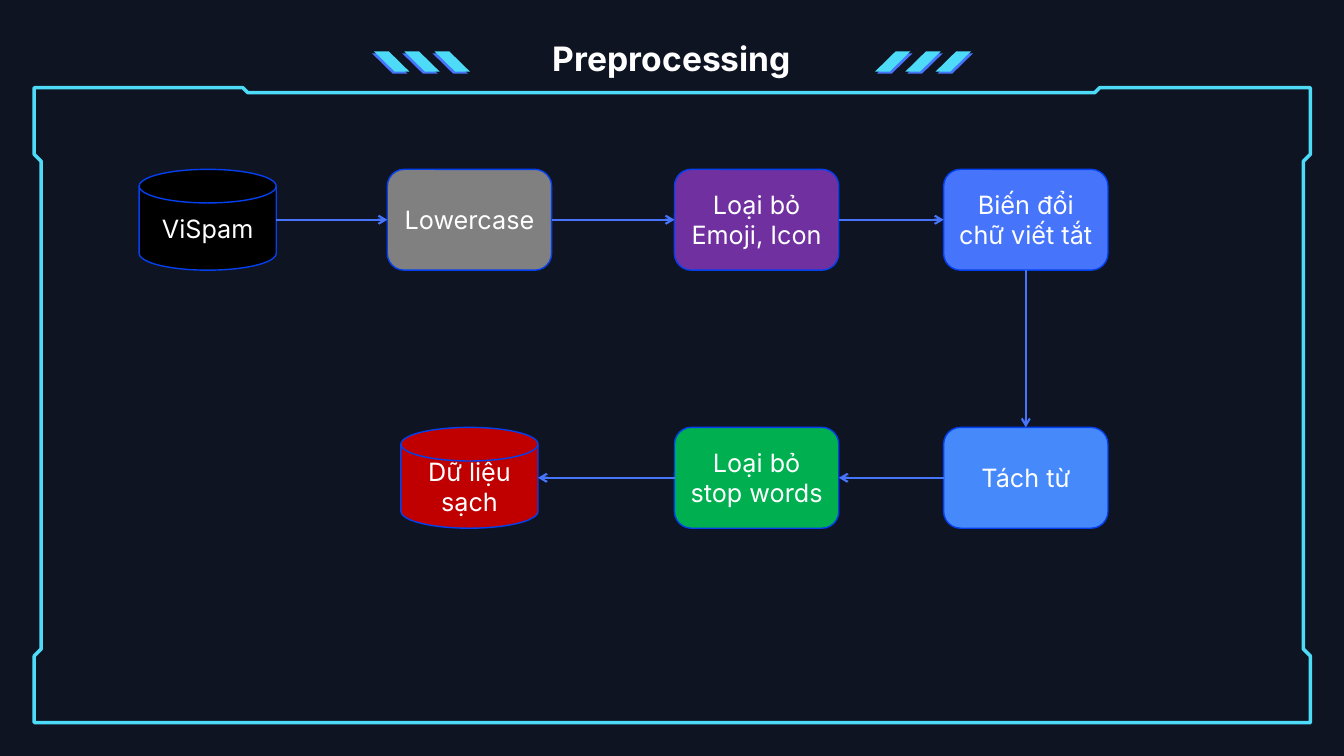
import dataclasses

import pptx
import pptx.dml.color
import pptx.enum.shapes
import pptx.enum.text
import pptx.oxml.ns
import pptx.util
from lxml import etree

SHAPE = pptx.enum.shapes.MSO_SHAPE
TOP, LEFT, BOTTOM, RIGHT = range(4)


@dataclasses.dataclass(frozen=True)
class Theme:
    font: str = "Inter"
    title_size: int = 24
    node_size: int = 18
    frame_line: float = 2.5
    arrow_line: float = 1.5
    node_line: float = 1
    night: str = "0F1423"
    white: str = "FFFFFF"
    cyan: str = "4DDBF8"
    blue: str = "4675FC"
    outline: str = "0440EE"


THEME = Theme()


@dataclasses.dataclass(frozen=True)
class Box:
    """An area in EMU; inner boxes are given in percent of its size."""
    left: float
    top: float
    width: float
    height: float

    def point(self, x, y):
        return (round(self.left + self.width * x / 100),
                round(self.top + self.height * y / 100))

    def inner(self, x, y, width, height):
        return Box(*self.point(x, y),
                   round(self.width * width / 100),
                   round(self.height * height / 100))

    def edges(self):
        return self.left, self.top, self.width, self.height


def rgb(code):
    return pptx.dml.color.RGBColor.from_string(code)


def set_line(line, color, width):
    line.color.rgb = rgb(color)
    line.width = pptx.util.Pt(width)


def add_filled(slide, kind, box, fill):
    shape = slide.shapes.add_shape(kind, *box.edges())
    shape.shadow.inherit = False
    shape.fill.solid()
    shape.fill.fore_color.rgb = rgb(fill)
    return shape


def write(shape, text, size, bold=False):
    frame = shape.text_frame
    frame.word_wrap = True
    paragraph = frame.paragraphs[0]
    paragraph.text = text
    paragraph.alignment = pptx.enum.text.PP_ALIGN.CENTER
    formats = {"name": THEME.font, "size": pptx.util.Pt(size), "bold": bold}
    for attribute, value in formats.items():
        setattr(paragraph.font, attribute, value)
    paragraph.font.color.rgb = rgb(THEME.white)


# Notched border around the content
def draw_frame(slide, box):
    corners = [
        (100, 100), (0, 100), (0, 89.5), (0.55, 88.4), (0.55, 11.6),
        (0, 10.5), (0, 0), (16.35, 0), (16.75, 0.8), (83.1, 0.8),
        (83.5, 0), (100, 0), (100, 10.5), (99.45, 11.6), (99.45, 88.4),
        (100, 89.5),
    ]
    start, *others = [box.point(*corner) for corner in corners]
    builder = slide.shapes.build_freeform(*start)
    builder.add_line_segments(others, close=True)
    border = builder.convert_to_shape()
    border.shadow.inherit = False
    border.fill.background()
    set_line(border.line, THEME.cyan, THEME.frame_line)


# Three two-tone stripes; the lit layer is shifted over the dark one
def draw_stripes(slide, box, leans_left):
    shift = 2.06
    dark_x, lit_x = (0, shift) if leans_left else (shift, 0)
    for color, x, y in ((THEME.blue, dark_x, 9.1), (THEME.cyan, lit_x, 0)):
        for number in range(3):
            area = box.inner(x + 30.93 * number, y, 36.08, 90.9)
            stripe = add_filled(slide, SHAPE.PARALLELOGRAM, area, color)
            stripe.adjustments[0] = 1.02
            stripe.line.fill.background()
            if leans_left:
                stripe._element.spPr.xfrm.set("flipV", "1")


# Heading between the two stripe groups
def draw_heading(slide, box):
    title = slide.shapes.add_textbox(*box.inner(6.21, 0, 87.42, 100).edges())
    write(title, "Preprocessing", THEME.title_size, bold=True)
    for x, leans_left in ((0, True), (83.72, False)):
        draw_stripes(slide, box.inner(x, 36, 16.28, 44), leans_left)


def draw_arrow(slide, source, source_side, target, target_side):
    def side_point(node, side):
        x = {LEFT: 0, RIGHT: 1}.get(side, 0.5)
        y = {TOP: 0, BOTTOM: 1}.get(side, 0.5)
        return (round(node.left + node.width * x),
                round(node.top + node.height * y))

    arrow = slide.shapes.add_connector(
        pptx.enum.shapes.MSO_CONNECTOR.STRAIGHT,
        *side_point(source, source_side), *side_point(target, target_side))
    # Cylinders number their sides differently, so only rectangles are joined
    if source.auto_shape_type == SHAPE.ROUNDED_RECTANGLE:
        arrow.begin_connect(source, source_side)
    if target.auto_shape_type == SHAPE.ROUNDED_RECTANGLE:
        arrow.end_connect(target, target_side)
    set_line(arrow.line, THEME.blue, THEME.arrow_line)
    qn = pptx.oxml.ns.qn
    outline = arrow._element.spPr.find(qn("a:ln"))
    etree.SubElement(outline, qn("a:tailEnd"), type="arrow")
    etree.SubElement(arrow._element.spPr, qn("a:effectLst"))


# Processing steps, to the right on the upper row and back on the lower one
def draw_pipeline(slide, box):
    columns = (7.08, 34.1, 63.74, 91.52)
    rows = (14.05, 85.95)
    height = 28.1
    disk = (SHAPE.FLOWCHART_MAGNETIC_DISK, 14.15)
    step = (SHAPE.ROUNDED_RECTANGLE, 16.96)
    steps = [
        ("ViSpam", disk, 0, 0, "000000"),
        ("Lowercase", step, 1, 0, "808080"),
        ("Loại bỏ Emoji, Icon", step, 2, 0, "7030A0"),
        ("Biến đổi chữ viết tắt", step, 3, 0, THEME.blue),
        ("Tách từ", step, 3, 1, "4589FB"),
        ("Loại bỏ stop words", step, 2, 1, "00B050"),
        ("Dữ liệu sạch", disk, 1, 1, "C00000"),
    ]
    nodes = []
    for text, (kind, width), column, row, fill in steps:
        area = box.inner(columns[column] - width / 2, rows[row] - height / 2,
                         width, height)
        node = add_filled(slide, kind, area, fill)
        set_line(node.line, THEME.outline, THEME.node_line)
        node.text_frame.vertical_anchor = pptx.enum.text.MSO_ANCHOR.MIDDLE
        write(node, text, THEME.node_size)
        nodes.append(node)

    sides = [(RIGHT, LEFT)] * 3 + [(BOTTOM, TOP)] + [(LEFT, RIGHT)] * 2
    for source, target, (leaving, entering) in zip(nodes, nodes[1:], sides):
        draw_arrow(slide, source, leaving, target, entering)


def main():
    deck = pptx.Presentation()
    deck.slide_width = pptx.util.Inches(13.33)
    deck.slide_height = pptx.util.Inches(7.5)
    slide = deck.slides.add_slide(deck.slide_layouts[6])
    slide.background.fill.solid()
    slide.background.fill.fore_color.rgb = rgb(THEME.night)

    page = Box(0, 0, deck.slide_width, deck.slide_height)
    draw_frame(slide, page.inner(2.55, 11.6, 94.95, 84))
    draw_heading(slide, page.inner(27.68, 4.4, 44.71, 6.67))
    draw_pipeline(slide, page.inner(10.35, 22.4, 72.09, 47.47))
    deck.save("out.pptx")


if __name__ == "__main__":
    main()
